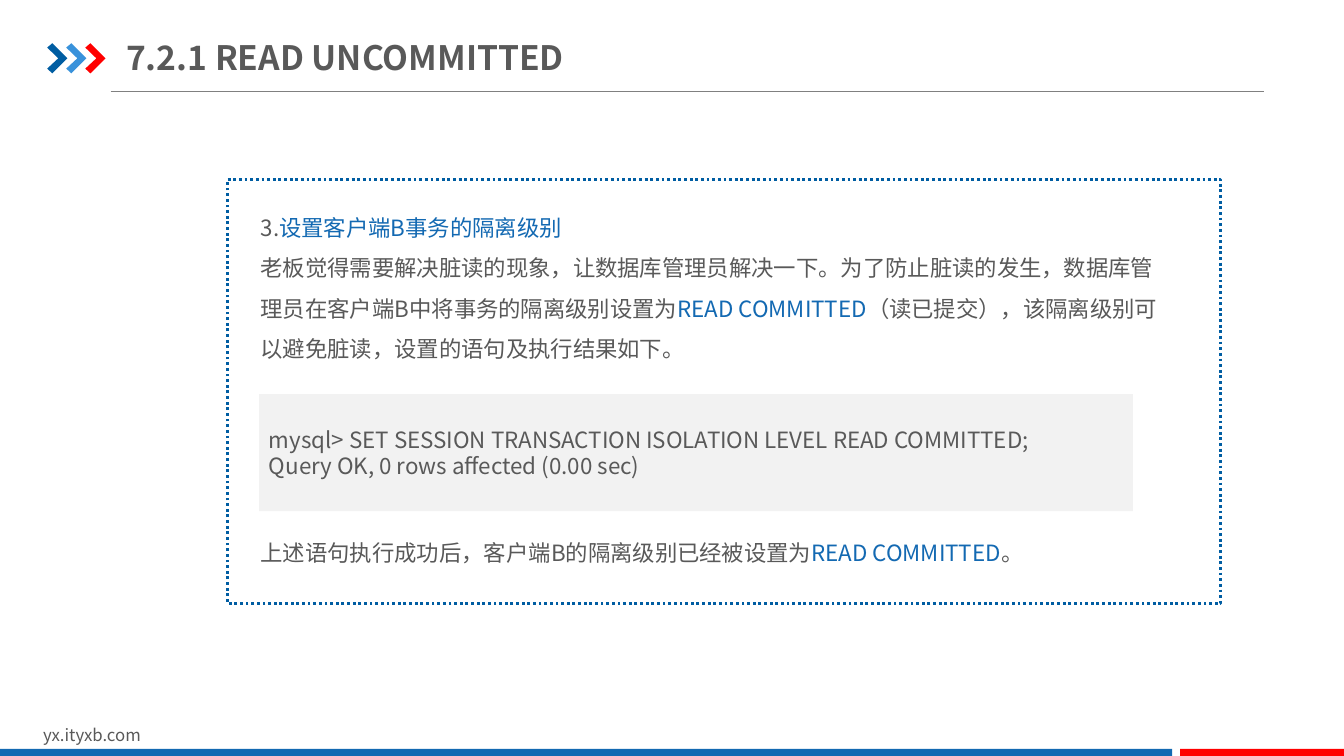
from dataclasses import dataclass

from lxml import etree
from pptx import Presentation
from pptx.dml.color import RGBColor
from pptx.enum.dml import MSO_LINE
from pptx.enum.shapes import MSO_CONNECTOR, MSO_SHAPE
from pptx.enum.text import MSO_ANCHOR, MSO_AUTO_SIZE, PP_ALIGN
from pptx.oxml.ns import qn
from pptx.shapes.autoshape import Shape
from pptx.slide import Slide
from pptx.util import Cm, Pt

RECTANGLE = MSO_SHAPE.RECTANGLE
PROCESS = MSO_SHAPE.FLOWCHART_PROCESS
STRAIGHT = MSO_CONNECTOR.STRAIGHT
DOTTED = MSO_LINE.ROUND_DOT
TOP = MSO_ANCHOR.TOP
MIDDLE = MSO_ANCHOR.MIDDLE
LEFT = PP_ALIGN.LEFT
GROW = MSO_AUTO_SIZE.SHAPE_TO_FIT_TEXT
FIXED = MSO_AUTO_SIZE.NONE


@dataclass(frozen=True)
class Theme:
    font: str = "Noto Sans CJK SC"
    text: str = "595959"
    accent: str = "1369B2"
    navy: str = "005DA2"
    sky: str = "3992DB"
    red: str = "FF0000"
    rule: str = "808080"
    code_fill: str = "F2F2F2"
    paper: str = "FFFFFF"
    title_size: int = 24
    body_size: int = 16
    footer_size: int = 12


THEME = Theme()


@dataclass(frozen=True)
class Box:
    left: float
    top: float
    width: float
    height: float

    def lengths(self) -> tuple[Cm, Cm, Cm, Cm]:
        return Cm(self.left), Cm(self.top), Cm(self.width), Cm(self.height)


@dataclass(frozen=True)
class Run:
    text: str
    color: str = THEME.text


@dataclass(frozen=True)
class Panel:
    box: Box
    fill: str
    preset: MSO_SHAPE = RECTANGLE
    border: str | None = None


@dataclass(frozen=True)
class Chevron:
    left: float
    color: str


Paragraphs = list[list[Run]]

SLIDE_WIDTH, SLIDE_HEIGHT = 33.87, 19.05
CHEVRON_TOP = 1.09
CHEVRON_OUTLINE = [(0, 0.11), (0.13, 0), (0.51, 0.38), (0.13, 0.76), (0, 0.64), (0.28, 0.38)]
CHEVRONS = [
    Chevron(1.19 + 0.48 * place, color)
    for place, color in enumerate((THEME.navy, THEME.sky, THEME.red))
]
FOOTER_BARS = [
    Panel(Box(0, 18.87, 29.54, 0.23), THEME.accent),
    Panel(Box(29.74, 18.87, 4.13, 0.23), THEME.red),
]
FRAME = Panel(Box(5.74, 4.52, 25.02, 10.69), THEME.paper, PROCESS, THEME.navy)
CODE_PANEL = Panel(Box(6.53, 9.93, 22.02, 2.95), THEME.code_fill)

TITLE: Paragraphs = [[Run("7.2.1 READ UNCOMMITTED")]]
FOOTER: Paragraphs = [[Run("yx.ityxb.com")]]
EXPLANATION: Paragraphs = [
    [Run("3."), Run("设置客户端B事务的隔离级别", THEME.accent)],
    [
        Run("老板觉得需要解决脏读的现象，让数据库管理员解决一下。为了防止脏读的发生，"
            "数据库管理员在客户端B中将事务的隔离级别设置为"),
        Run("READ COMMITTED", THEME.accent),
        Run("（读已提交），该隔离级别可以避免脏读，设置的语句及执行结果如下。"),
    ],
]
CODE: Paragraphs = [
    [Run("mysql> SET SESSION TRANSACTION ISOLATION LEVEL READ COMMITTED;")],
    [Run("Query OK, 0 rows affected (0.00 sec)")],
]
CONCLUSION: Paragraphs = [
    [
        Run("上述语句执行成功后，客户端B的隔离级别已经被设置为"),
        Run("READ COMMITTED", THEME.accent),
        Run("。"),
    ]
]


def write_text(shape: Shape, paragraphs: Paragraphs, *, size: int = THEME.body_size,
               bold: bool = False, spacing: float = 1.0, anchor: MSO_ANCHOR = TOP,
               fit: MSO_AUTO_SIZE = FIXED, insets: tuple[float, float] = (0.25, 0.13)) -> None:
    frame = shape.text_frame
    frame.word_wrap = True
    frame.auto_size = fit
    frame.vertical_anchor = anchor
    frame.margin_left = frame.margin_right = Cm(insets[0])
    frame.margin_top = frame.margin_bottom = Cm(insets[1])
    for index, runs in enumerate(paragraphs):
        paragraph = frame.add_paragraph() if index else frame.paragraphs[0]
        paragraph.alignment = LEFT
        paragraph.line_spacing = spacing
        for part in runs:
            run = paragraph.add_run()
            run.text = part.text
            run.font.size = Pt(size)
            run.font.bold = bold
            run.font.color.rgb = RGBColor.from_string(part.color)
            run.font.name = THEME.font
            east_asian = etree.SubElement(run.font._element, qn("a:ea"))
            east_asian.set("typeface", THEME.font)


def paint(shape: Shape, fill: str, border: str | None = None) -> None:
    shape.shadow.inherit = False
    shape.fill.solid()
    shape.fill.fore_color.rgb = RGBColor.from_string(fill)
    if border is None:
        shape.line.fill.background()
    else:
        shape.line.color.rgb = RGBColor.from_string(border)
        shape.line.width = Pt(2)
        shape.line.dash_style = DOTTED


def draw_panel(slide: Slide, panel: Panel) -> Shape:
    shape = slide.shapes.add_shape(panel.preset, *panel.box.lengths())
    paint(shape, panel.fill, panel.border)
    return shape


def draw_chevron(slide: Slide, chevron: Chevron) -> None:
    corners = [(Cm(chevron.left + x), Cm(CHEVRON_TOP + y)) for x, y in CHEVRON_OUTLINE]
    outline = slide.shapes.build_freeform(*corners[0])
    outline.add_line_segments(corners[1:], close=True)
    paint(outline.convert_to_shape(), chevron.color)


def draw_title_rule(slide: Slide) -> None:
    rule = slide.shapes.add_connector(STRAIGHT, Cm(2.79), Cm(2.31), Cm(31.85), Cm(2.31))
    rule.line.color.rgb = RGBColor.from_string(THEME.rule)
    rule.line.width = Pt(0.75)
    etree.SubElement(rule._element.spPr, qn("a:effectLst"))


def add_text_box(slide: Slide, box: Box) -> Shape:
    return slide.shapes.add_textbox(*box.lengths())


def main() -> None:
    deck = Presentation()
    deck.slide_width, deck.slide_height = Cm(SLIDE_WIDTH), Cm(SLIDE_HEIGHT)
    slide = deck.slides.add_slide(deck.slide_layouts[6])

    draw_title_rule(slide)
    for chevron in CHEVRONS:
        draw_chevron(slide, chevron)
    write_text(add_text_box(slide, Box(0.84, 18.14, 8.08, 0.76)), FOOTER,
               size=THEME.footer_size, fit=GROW)
    for bar in FOOTER_BARS:
        draw_panel(slide, bar)

    draw_panel(slide, FRAME)
    write_text(add_text_box(slide, Box(6.32, 4.93, 23.52, 4.37)), EXPLANATION,
               spacing=1.5, fit=GROW)
    write_text(draw_panel(slide, CODE_PANEL), CODE, anchor=MIDDLE)
    write_text(add_text_box(slide, Box(6.32, 13.13, 21.39, 1.27)), CONCLUSION,
               spacing=1.5, fit=GROW)
    write_text(add_text_box(slide, Box(3.18, 0.74, 12.19, 1.4)), TITLE,
               size=THEME.title_size, bold=True, anchor=MIDDLE, insets=(0, 0.18))

    deck.save("out.pptx")


if __name__ == "__main__":
    main()
